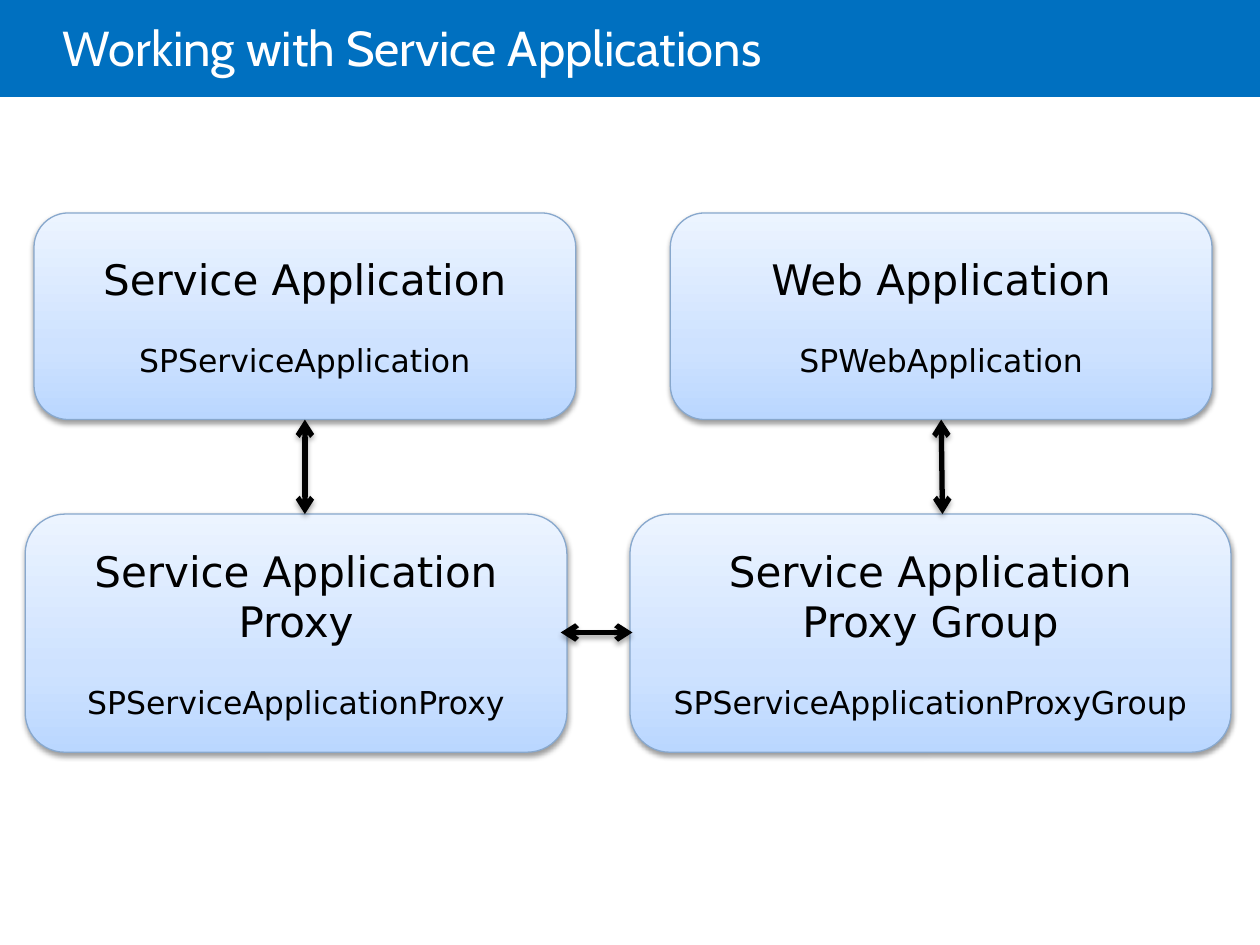
import dataclasses

import pptx
import pptx.dml.color
import pptx.enum.shapes
import pptx.enum.text
import pptx.oxml
import pptx.oxml.ns
import pptx.util

Inches = pptx.util.Inches
Pt = pptx.util.Pt
Shape = pptx.enum.shapes.MSO_SHAPE
Anchor = pptx.enum.text.MSO_ANCHOR
Align = pptx.enum.text.PP_ALIGN


@dataclasses.dataclass(frozen=True)
class Theme:
    bar: str = "0070C0"
    light: str = "FFFFFF"
    ink: str = "000000"
    edge: str = "88A8CD"
    stops: tuple = ((0, "BAD7FF"), (35, "CEE2FF"), (100, "ECF4FF"))
    head: str = "Cabin"
    body: str = "DejaVu Sans"
    title: int = 28
    name: int = 24
    code: int = 18
    gap: int = 21


THEME = Theme()


def color(value):
    return pptx.dml.color.RGBColor.from_string(value)


def parse(tag, inner):
    space = pptx.oxml.ns.nsdecls("a")
    return pptx.oxml.parse_xml(f"<a:{tag} {space}>{inner}</a:{tag}>")


def style(par, face, size, tint):
    par.font.name = face
    par.font.size = Pt(size)
    par.font.color.rgb = color(tint)


def shade(alpha, drop):
    return parse("effectLst", (
        f'<a:outerShdw blurRad="{Pt(3.1)}" dist="{Pt(drop)}" dir="5400000" rotWithShape="0">'
        f'<a:srgbClr val="{THEME.ink}"><a:alpha val="{alpha * 1000}"/></a:srgbClr>'
        "</a:outerShdw>"))


def blend(shape):
    stops = "".join(
        f'<a:gs pos="{pos * 1000}"><a:srgbClr val="{tint}"/></a:gs>'
        for pos, tint in THEME.stops)
    shape.fill.background()
    blank = shape._element.spPr.find(pptx.oxml.ns.qn("a:noFill"))
    blank.getparent().replace(blank, parse(
        "gradFill", f'<a:gsLst>{stops}</a:gsLst><a:lin ang="16200000" scaled="0"/>'))


def add_title(slide, text):
    bar = slide.shapes.add_shape(Shape.RECTANGLE, 0, 0, Inches(10), Inches(0.77))
    bar.shadow.inherit = False
    bar.fill.solid()
    bar.fill.fore_color.rgb = color(THEME.bar)
    bar.line.fill.background()

    box = slide.shapes.add_textbox(Inches(0.5), 0, Inches(8.5), Inches(0.81))
    frame = box.text_frame
    frame.word_wrap = True
    frame.vertical_anchor = Anchor.MIDDLE
    frame.margin_left = 0
    par = frame.paragraphs[0]
    par.text = text
    par.line_spacing = 0.85
    style(par, THEME.head, THEME.title, THEME.light)


def add_card(slide, left, top, width, height, name, code):
    card = slide.shapes.add_shape(
        Shape.ROUNDED_RECTANGLE,
        Inches(left), Inches(top), Inches(width), Inches(height))
    blend(card)
    card.line.color.rgb = color(THEME.edge)
    card.line.width = Pt(0.75)
    card._element.spPr.append(shade(38, 1.6))

    frame = card.text_frame
    frame.word_wrap = True
    frame.vertical_anchor = Anchor.MIDDLE
    frame.margin_left = frame.margin_right = Inches(0.2)
    first, last = frame.paragraphs[0], frame.add_paragraph()
    for par, text, size in ((first, name, THEME.name), (last, code, THEME.code)):
        par.text = text
        par.alignment = Align.CENTER
        style(par, THEME.body, size, THEME.ink)
    last.space_before = Pt(THEME.gap)
    return card


def add_arrow(slide, x1, y1, x2, y2, start=None):
    arrow = slide.shapes.add_connector(
        pptx.enum.shapes.MSO_CONNECTOR.STRAIGHT,
        Inches(x1), Inches(y1), Inches(x2), Inches(y2))
    if start is not None:
        arrow.begin_connect(start, 2)
    arrow.line.color.rgb = color(THEME.ink)
    arrow.line.width = Pt(3)
    line = arrow.line._get_or_add_ln()
    for end in ("headEnd", "tailEnd"):
        tip = parse(end, "")
        tip.set("type", "arrow")
        line.append(tip)
    arrow._element.spPr.append(shade(35, 1.8))


def main():
    deck = pptx.Presentation()
    deck.slide_width, deck.slide_height = Inches(10), Inches(7.5)
    slide = deck.slides.add_slide(deck.slide_layouts[6])
    add_title(slide, "Working with Service Applications")

    top, tall = 1.69, 1.64
    low, deep = 4.08, 1.89
    app = add_card(slide, 0.27, top, 4.3, tall,
                   "Service Application", "SPServiceApplication")
    add_card(slide, 0.2, low, 4.3, deep,
             "Service Application Proxy", "SPServiceApplicationProxy")
    web = add_card(slide, 5.32, top, 4.3, tall,
                   "Web Application", "SPWebApplication")
    add_card(slide, 5, low, 4.77, deep,
             "Service Application Proxy Group", "SPServiceApplicationProxyGroup")

    add_arrow(slide, 2.42, top + tall, 2.42, low, app)
    add_arrow(slide, 4.45, 5.02, 5.02, 5.02)
    add_arrow(slide, 7.47, top + tall, 7.48, low, web)
    deck.save("out.pptx")


if __name__ == "__main__":
    main()
